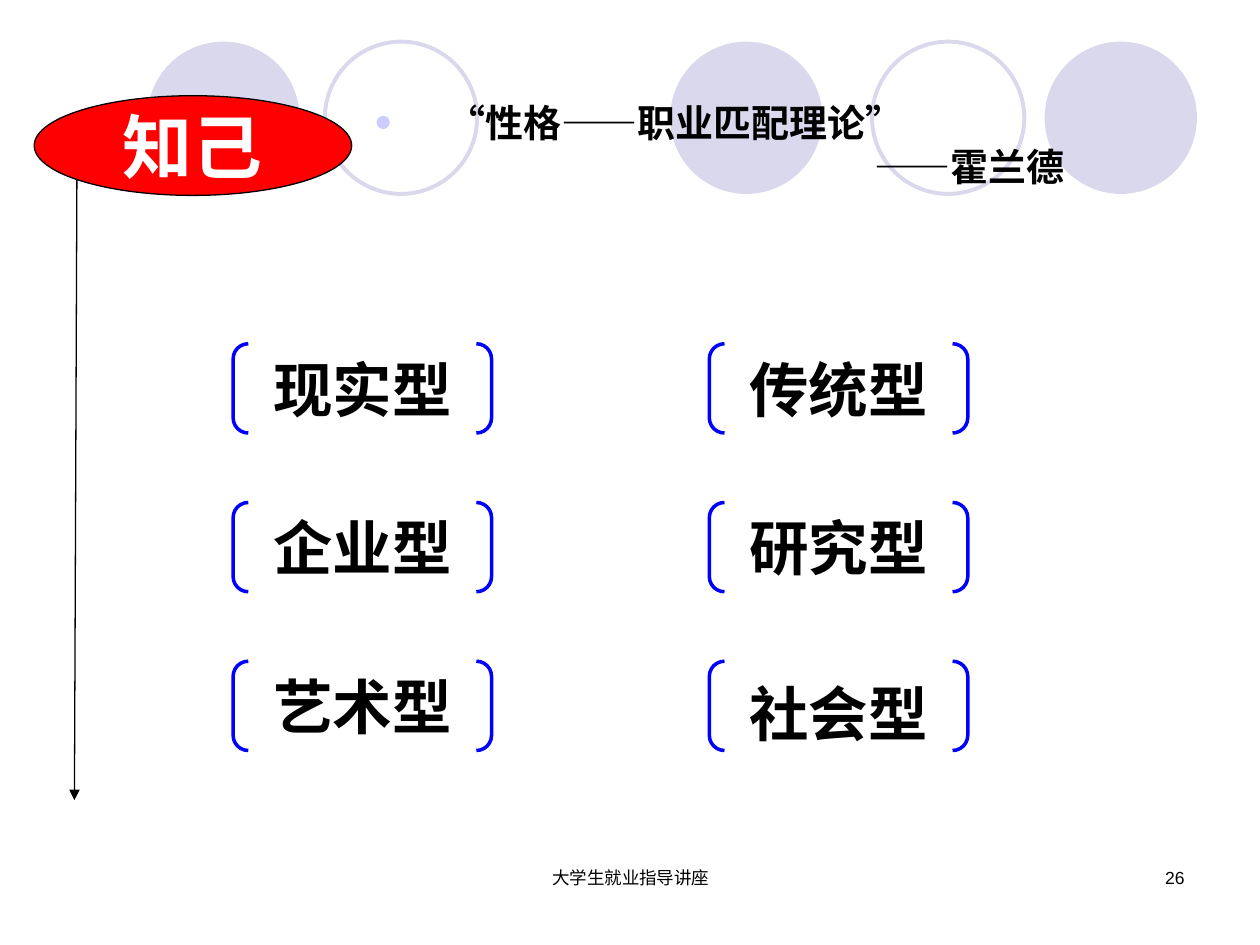
from lxml import etree
from pptx import Presentation
from pptx.dml.color import RGBColor
from pptx.enum.shapes import MSO_CONNECTOR, MSO_SHAPE
from pptx.enum.text import MSO_ANCHOR, MSO_AUTO_SIZE, PP_ALIGN
from pptx.oxml.ns import qn
from pptx.util import Cm, Pt

BLACK = RGBColor(0x00, 0x00, 0x00)
WHITE = RGBColor(0xFF, 0xFF, 0xFF)
RED = RGBColor(0xFF, 0x00, 0x00)
BLUE = RGBColor(0x00, 0x00, 0xFF)
LAVENDER = RGBColor(0xD9, 0xD8, 0xEC)
BULLET_COLOR = RGBColor(0xCC, 0xCC, 0xFF)

OVAL = MSO_SHAPE.OVAL
BRACKETS = MSO_SHAPE.DOUBLE_BRACKET
STRAIGHT = MSO_CONNECTOR.STRAIGHT
LEFT, CENTER, RIGHT = PP_ALIGN.LEFT, PP_ALIGN.CENTER, PP_ALIGN.RIGHT
MIDDLE = MSO_ANCHOR.MIDDLE
NO_AUTOFIT = MSO_AUTO_SIZE.NONE

FILLED_CIRCLES = (13.51, 21.06, 2.97)
OUTLINED_CIRCLES = (17.58, 6.55)
TYPE_COLUMNS = (("现实型", "企业型", "艺术型"), ("传统型", "研究型", "社会型"))


def write_text(para, text, size, color=BLACK, bold=False, align=LEFT):
    para.alignment = align
    span = para.add_run()
    span.text = text
    span.font.name = "Arial"
    span.font.size = Pt(size)
    span.font.bold = bold
    span.font.color.rgb = color


def add_figure(page, kind, left, top, width, height, fill=None, line=None, weight=0.75):
    figure = page.shapes.add_shape(kind, Cm(left), Cm(top), Cm(width), Cm(height))
    figure.shadow.inherit = False
    if fill is None:
        figure.fill.background()
    else:
        figure.fill.solid()
        figure.fill.fore_color.rgb = fill
    if line is None:
        figure.line.fill.background()
    else:
        figure.line.color.rgb = line
        figure.line.width = Pt(weight)
    return figure


def add_label(figure, text, **text_format):
    frame = figure.text_frame
    frame.word_wrap = False
    frame.vertical_anchor = MIDDLE
    write_text(frame.paragraphs[0], text, bold=True, align=CENTER, **text_format)


def add_note(page, left, width, text, align):
    box = page.shapes.add_textbox(Cm(left), Cm(17.35), Cm(width), Cm(1.27))
    box.text_frame.word_wrap = True
    write_text(box.text_frame.paragraphs[0], text, 10, align=align)


def add_arrow(page, start_x, start_y, end_x, end_y):
    arrow = page.shapes.add_connector(STRAIGHT, Cm(start_x), Cm(start_y), Cm(end_x), Cm(end_y))
    arrow.line.color.rgb = BLACK
    arrow.line.width = Pt(0.75)
    etree.SubElement(arrow.line._get_or_add_ln(), qn("a:tailEnd"), type="triangle")
    etree.SubElement(arrow.element.spPr, qn("a:effectLst"))


def set_bullet(para, symbol=None):
    properties = para._p.get_or_add_pPr()
    properties.set("marL", str(Cm(1.48)))
    properties.set("indent", str(Cm(-1.48)))
    if symbol is None:
        etree.SubElement(properties, qn("a:buNone"))
        return
    color = etree.SubElement(properties, qn("a:buClr"))
    etree.SubElement(color, qn("a:srgbClr"), val=str(BULLET_COLOR))
    etree.SubElement(properties, qn("a:buSzPct"), val="80000")
    etree.SubElement(properties, qn("a:buChar"), char=symbol)


def fill_theory(page, body):
    page.shapes.element.append(body.element)
    body.left, body.top, body.width, body.height = Cm(7.29), Cm(2.13), Cm(14.6), Cm(1.8)
    frame = body.text_frame
    frame.auto_size = NO_AUTOFIT
    theory, author = frame.paragraphs[0], frame.add_paragraph()
    set_bullet(theory, "●")
    set_bullet(author)
    for para, space in ((theory, 0), (author, 7)):
        para.line_spacing = 0.7
        para.space_before = Pt(space)
    write_text(theory, "“性格——职业匹配理论”", 21.7, bold=True)
    write_text(author, "——霍兰德 ", 21.7, bold=True, align=RIGHT)


def add_types(page):
    for column, names in enumerate(TYPE_COLUMNS):
        for row, name in enumerate(names):
            pair = add_figure(page, BRACKETS, 4.7 + 9.6 * column, 6.93 + 3.2 * row,
                              5.21, 1.8, line=BLUE, weight=2)
            pair.adjustments[0] = 0.17
            add_label(pair, name, size=34)
    pair.text_frame.margin_top = Cm(0.28)
    pair.text_frame.margin_bottom = 0


def main():
    deck = Presentation()
    deck.slide_width, deck.slide_height = Cm(25.4), Cm(19.05)
    page = deck.slides.add_slide(deck.slide_layouts[1])
    title, body = page.placeholders
    page.shapes.element.remove(title.element)

    for left in FILLED_CIRCLES:
        add_figure(page, OVAL, left, 0.84, 3.07, 3.07, fill=LAVENDER)
    for left in OUTLINED_CIRCLES:
        add_figure(page, OVAL, left, 0.84, 3.07, 3.07, line=LAVENDER, weight=2.25)

    heading = add_figure(page, OVAL, 0.69, 1.93, 6.4, 2.01, fill=RED, line=BLACK)
    add_label(heading, "知己", size=40, color=WHITE)
    add_arrow(page, 1.55, 3.63, 1.5, 16.13)
    fill_theory(page, body)
    add_types(page)
    add_note(page, 8.69, 8.05, "大学生就业指导讲座", CENTER)
    add_note(page, 18.21, 5.92, "26", RIGHT)
    deck.save("out.pptx")


if __name__ == "__main__":
    main()
